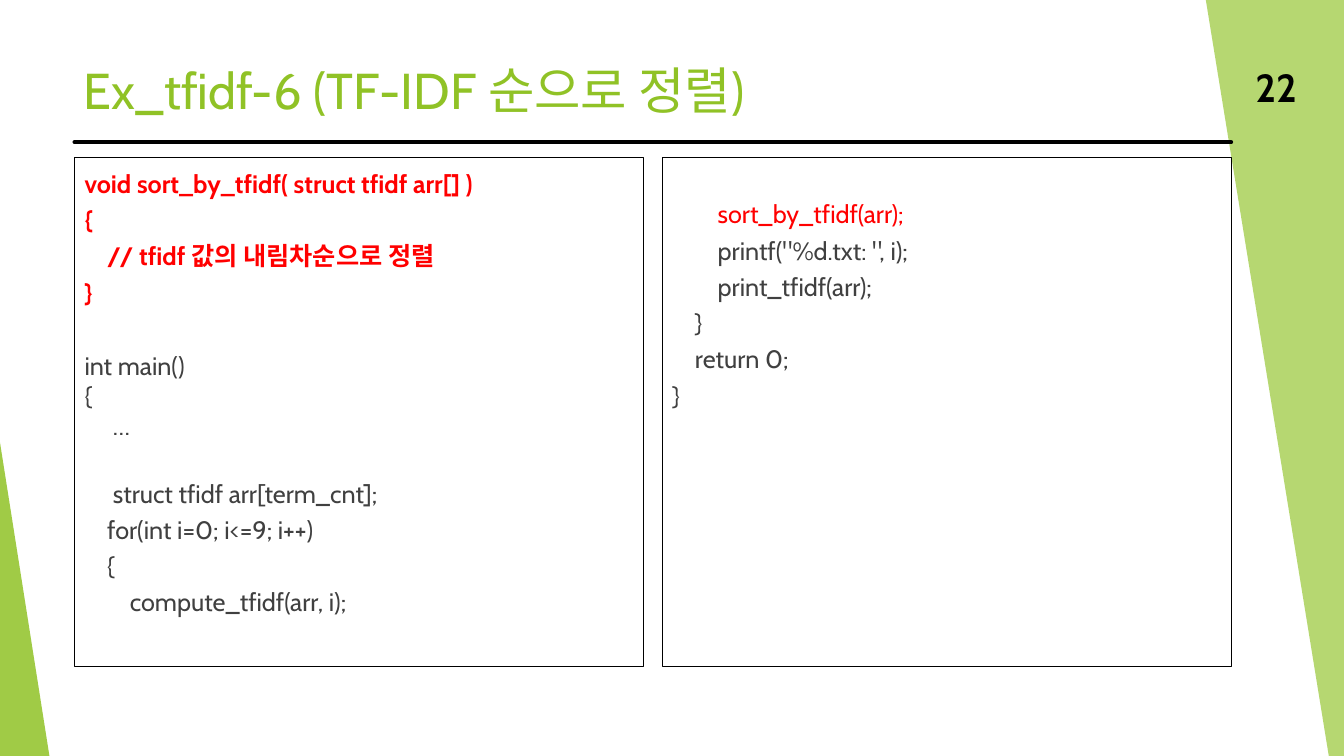
from lxml.etree import SubElement
from pptx import Presentation
from pptx.dml.color import RGBColor
from pptx.enum.shapes import MSO_CONNECTOR as Connector, MSO_SHAPE as Shape
from pptx.enum.text import MSO_ANCHOR as Anchor, MSO_AUTO_SIZE as AutoSize, PP_ALIGN as Align
from pptx.oxml.ns import qn
from pptx.util import Inches, Pt

WIDTH, HEIGHT = 13.33, 7.5
LEFT, RIGHT = 0.74, 12.21
GUTTER = 0.19
PANEL_WIDTH = (RIGHT - LEFT - GUTTER) / 2
GREEN, RED, GRAY, BLACK = "90C226", "FF0000", "404040", "000000"
FONT = "Cabin"
CODE_SIZE = 18
BLANK_LINE = 22  # height of an empty code line, in points
TALL = 1.2  # usual line spacing of the code

# Each line: text, colour, bold, line spacing, empty lines before it
DEFINITION = [
    ("void sort_by_tfidf( struct tfidf arr[] )", RED, True, TALL, 0),
    ("{", RED, True, TALL, 0),
    ("    // tfidf 값의 내림차순으로 정렬", RED, True, TALL, 0),
    ("}", RED, True, TALL, 0),
    ("int main()", GRAY, False, TALL, TALL),
    ("{", GRAY, False, 1, 0),
    ("     …", GRAY, False, 1, 0),
    ("     struct tfidf arr[term_cnt];", GRAY, False, TALL, 1),
    ("    for(int i=0; i<=9; i++)", GRAY, False, TALL, 0),
    ("    {", GRAY, False, TALL, 0),
    ("        compute_tfidf(arr, i);", GRAY, False, TALL, 0),
]
LOOP_END = [
    ("        sort_by_tfidf(arr);", RED, False, TALL, 0),
    ('        printf("%d.txt: ", i);', GRAY, False, TALL, 0),
    ("        print_tfidf(arr);", GRAY, False, TALL, 0),
    ("    }", GRAY, False, TALL, 0),
    ("    return 0;", GRAY, False, TALL, 0),
    ("}", GRAY, False, TALL, 0),
]


def color(hex_string):
    return RGBColor.from_string(hex_string)


def inches(*lengths):
    return [Inches(length) for length in lengths]


def write(paragraph, text, size=CODE_SIZE, fill=GRAY, bold=False,
          align=Align.LEFT, spacing=1.0, before=0):
    paragraph.alignment = align
    paragraph.line_spacing = spacing
    paragraph.space_before = Pt(before)
    run = paragraph.add_run()
    run.text = text
    run.font.name = FONT
    run.font.size = Pt(size)
    run.font.bold = bold
    run.font.color.rgb = color(fill)


def paint(shape, opacity):
    """Fill a decoration with translucent green and no outline."""
    shape.shadow.inherit = False
    shape.line.fill.background()
    shape.fill.solid()
    shape.fill.fore_color.rgb = color(GREEN)
    tint = shape.fill._xPr.find(qn("a:solidFill"))[0]
    SubElement(tint, qn("a:alpha"), val=str(opacity * 1000))


def add_decoration(slide):
    # Band along the right edge
    builder = slide.shapes.build_freeform(*inches(11.96, 0), scale=1.0)
    corners = [(WIDTH, 0), (WIDTH, HEIGHT), (13.18, HEIGHT)]
    builder.add_line_segments([inches(*corner) for corner in corners], close=True)
    paint(builder.convert_to_shape(), 65)

    # Wedge in the lower left corner
    wedge = slide.shapes.add_shape(
        Shape.ISOSCELES_TRIANGLE, *inches(0, 4.39, 0.49, HEIGHT - 4.39))
    wedge.adjustments[0] = 0
    paint(wedge, 85)


def add_header(slide, title_text, number, rule_top):
    # Title
    title = slide.shapes.title
    title.left, title.top, title.width, title.height = inches(0.73, 0.49, 11.12, 0.8)
    frame = title.text_frame
    frame.auto_size = AutoSize.NONE
    frame.vertical_anchor = Anchor.MIDDLE
    write(frame.paragraphs[0], title_text, size=36, fill=GREEN)

    # Rule under the title
    rule = slide.shapes.add_connector(
        Connector.STRAIGHT, *inches(LEFT, rule_top, RIGHT, rule_top))
    rule.line.color.rgb = color(BLACK)
    rule.line.width = Pt(3)
    rule.line._get_or_add_ln().set("cap", "rnd")
    SubElement(rule._element.spPr, qn("a:effectLst"))

    # Page number
    frame = slide.shapes.add_textbox(*inches(RIGHT, 0.66, 0.75, 0.4)).text_frame
    frame.word_wrap = True
    frame.vertical_anchor = Anchor.MIDDLE
    write(frame.paragraphs[0], number, size=28, fill=BLACK, bold=True, align=Align.RIGHT)


def add_code_panel(slide, column, lines, top_inset=0.05):
    left = LEFT + column * (PANEL_WIDTH + GUTTER)
    panel = slide.shapes.add_shape(
        Shape.RECTANGLE, *inches(left, 1.56, PANEL_WIDTH, 5.05))
    panel.shadow.inherit = False
    panel.fill.background()
    panel.line.color.rgb = color(BLACK)
    panel.line.width = Pt(0.75)
    frame = panel.text_frame
    frame.word_wrap = True
    frame.vertical_anchor = Anchor.TOP
    frame.margin_top = Inches(top_inset)
    for index, (text, fill, bold, spacing, blanks) in enumerate(lines):
        paragraph = frame.add_paragraph() if index else frame.paragraphs[0]
        write(paragraph, text, fill=fill, bold=bold, spacing=spacing,
              before=blanks * BLANK_LINE)


def main():
    presentation = Presentation()
    presentation.slide_width, presentation.slide_height = inches(WIDTH, HEIGHT)
    slide = presentation.slides.add_slide(presentation.slide_layouts[5])
    add_decoration(slide)
    add_header(slide, "Ex_tfidf-6 (TF-IDF 순으로 정렬)", "22", rule_top=1.41)
    add_code_panel(slide, 0, DEFINITION)
    add_code_panel(slide, 1, LOOP_END, top_inset=0.35)
    presentation.save("out.pptx")


if __name__ == "__main__":
    main()
